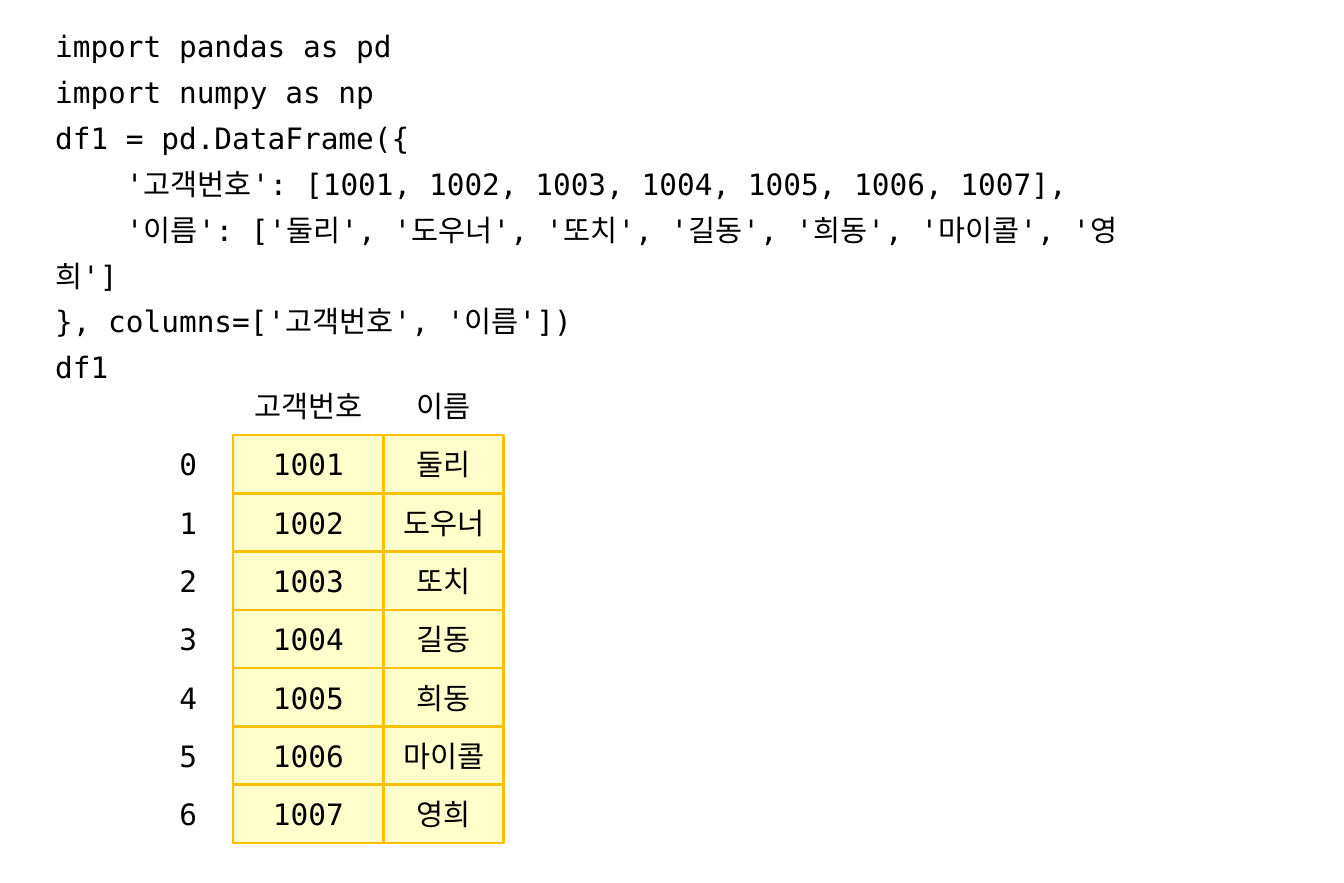
from pptx import Presentation
from pptx.dml.color import RGBColor
from pptx.enum.shapes import MSO_SHAPE as Shape
from pptx.enum.text import MSO_ANCHOR as Anchor, MSO_AUTO_SIZE as AutoSize, PP_ALIGN as Align
from pptx.util import Pt

SCALE = 4572
FONT = "DejaVu Sans Mono"
COLORS = {"text": "000000", "cell": "FFFFCC", "border": "FFC000"}
CODE = [
    "import pandas as pd",
    "import numpy as np",
    "df1 = pd.DataFrame({",
    "    '고객번호': [1001, 1002, 1003, 1004, 1005, 1006, 1007],",
    "    '이름': ['둘리', '도우너', '또치', '길동', '희동', '마이콜', '영희']",
    "}, columns=['고객번호', '이름'])",
    "df1",
]
HEADER = ["", "고객번호", "이름"]
NAMES = ["둘리", "도우너", "또치", "길동", "희동", "마이콜", "영희"]
COLUMN_WIDTHS = [152, 256, 204]
ROW_HEIGHT = 99


def px(n):
    return n * SCALE


def color(name):
    return RGBColor.from_string(COLORS[name])


def add_run(p, text):
    r = p.add_run()
    r.text = text
    r.font.name = FONT
    r.font.size = Pt(18)
    r.font.color.rgb = color("text")


def add_code(s, lines, x, y, w, h):
    tf = s.shapes.add_textbox(px(x), px(y), px(w), px(h)).text_frame
    tf.word_wrap = True
    tf.auto_size = AutoSize.SHAPE_TO_FIT_TEXT
    for i, line in enumerate(lines):
        p = tf.add_paragraph() if i else tf.paragraphs[0]
        p.line_spacing = 1.3
        add_run(p, line)


def center_text(sp, text):
    tf = sp.text_frame
    tf.word_wrap = True
    tf.vertical_anchor = Anchor.MIDDLE
    p = tf.paragraphs[0]
    p.alignment = Align.CENTER
    add_run(p, text)


def add_label(s, text, x, y, w, h):
    center_text(s.shapes.add_textbox(px(x), px(y), px(w), px(h)), text)


def add_cell(s, text, x, y, w, h):
    sp = s.shapes.add_shape(Shape.RECTANGLE, px(x), px(y), px(w), px(h))
    sp.shadow.inherit = False
    sp.fill.solid()
    sp.fill.fore_color.rgb = color("cell")
    sp.line.color.rgb = color("border")
    sp.line.width = Pt(1.5)
    center_text(sp, text)


def add_data_frame(s, rows, x, y):
    for i, values in enumerate(rows):
        for j, value in enumerate(values):
            add = add_cell if i and j else add_label
            if value:
                add(s, value, x + sum(COLUMN_WIDTHS[:j]), y + i * ROW_HEIGHT,
                    COLUMN_WIDTHS[j], ROW_HEIGHT)


def main():
    prs = Presentation()
    prs.slide_width = px(2284)
    prs.slide_height = px(1500)
    s = prs.slides.add_slide(prs.slide_layouts[6])
    add_code(s, CODE, 74, 20, 1946, 564)
    customers = [[str(i), str(1001 + i), name] for i, name in enumerate(NAMES)]
    add_data_frame(s, [HEADER] + customers, 244, 640)
    prs.save("out.pptx")


if __name__ == "__main__":
    main()
